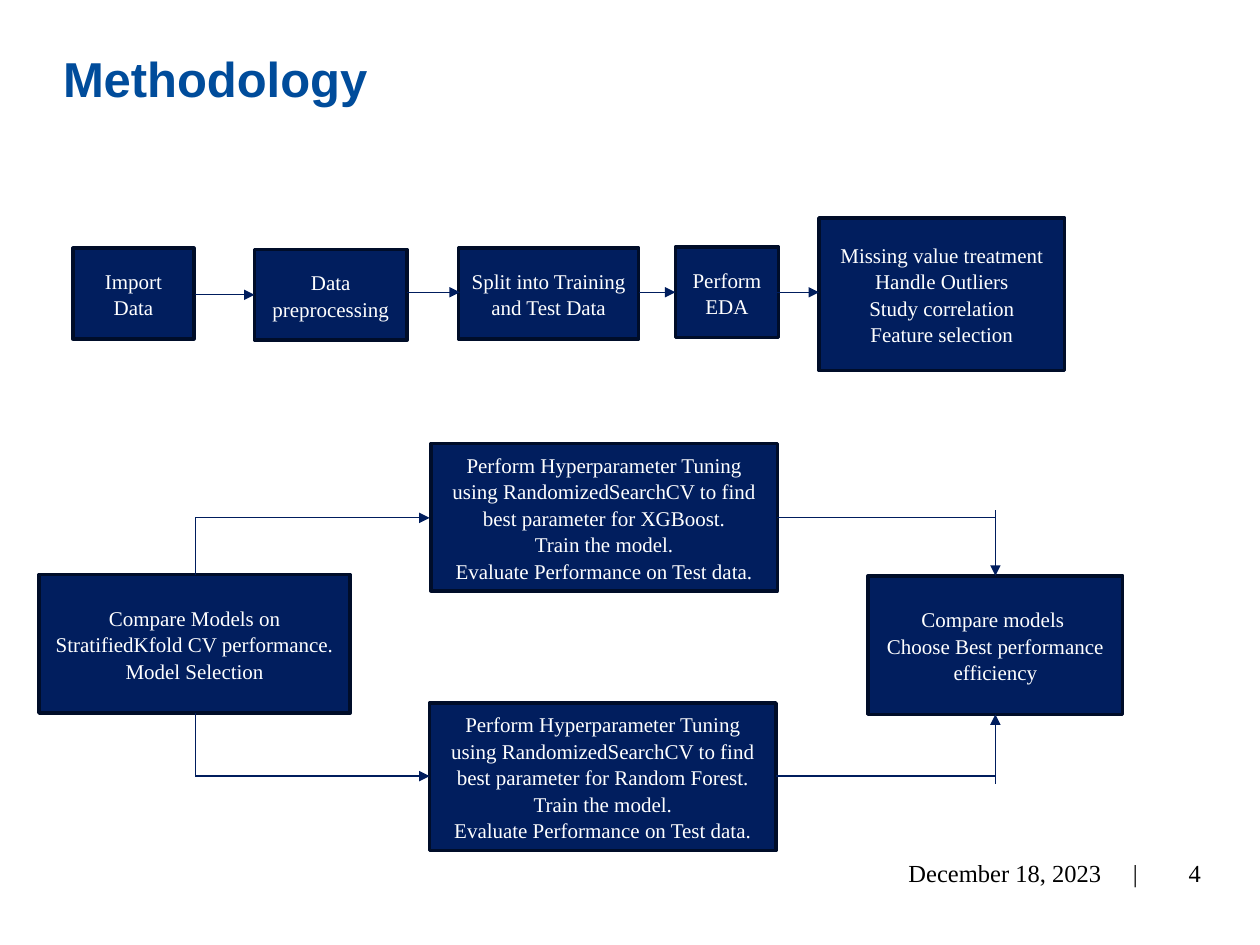
from typing import NamedTuple

from lxml.etree import SubElement
from pptx import Presentation
from pptx.dml.color import RGBColor
from pptx.enum.shapes import MSO_CONNECTOR as Connector, MSO_SHAPE as Shape
from pptx.enum.text import MSO_ANCHOR as Anchor, PP_ALIGN as Align
from pptx.oxml.ns import qn
from pptx.util import Inches, Pt

NAVY, EDGE, LINE = "011E5E", "000D29", "001D5D"
SERIF = "Times New Roman"


class Step(NamedTuple):
    left: float
    top: float
    width: float
    height: float
    text: str


class Link(NamedTuple):
    x1: float
    y1: float
    x2: float
    y2: float
    arrow: bool = True


def tuning(model: str) -> str:
    return ("Perform Hyperparameter Tuning using RandomizedSearchCV to find "
            f"best parameter for {model}.\nTrain the model.\n"
            "Evaluate Performance on Test data.")


ROW_Y, UPPER_Y, LOWER_Y = 2.32, 4.11, 6.16
FORK_X, JOIN_X = 1.55, 7.9

STEPS = [
    Step(0.58, 1.97, 0.96, 0.72, "Import Data"),
    Step(2.02, 1.98, 1.21, 0.72, "Data preprocessing"),
    Step(3.64, 1.97, 1.43, 0.72, "Split into Training and Test Data"),
    Step(5.36, 1.96, 0.82, 0.72, "Perform EDA"),
    Step(6.5, 1.73, 1.95, 1.21, "Missing value treatment\nHandle Outliers\n"
         "Study correlation\nFeature selection"),
    Step(0.31, 4.56, 2.47, 1.1, "Compare Models on StratifiedKfold CV performance.\n"
         "Model Selection"),
    Step(3.41, 5.58, 2.75, 1.17, tuning("Random Forest")),
    Step(3.42, 3.52, 2.75, 1.17, tuning("XGBoost")),
    Step(6.89, 4.57, 2.02, 1.1, "Compare models \nChoose Best performance efficiency"),
]

LINKS = [
    Link(1.55, 2.34, 2.02, 2.34),
    Link(3.23, ROW_Y, 3.65, ROW_Y),
    Link(5.07, ROW_Y, 5.36, ROW_Y),
    Link(6.17, ROW_Y, 6.5, ROW_Y),
    Link(FORK_X, UPPER_Y, 3.41, UPPER_Y),
    Link(FORK_X, UPPER_Y, FORK_X, 4.56, arrow=False),
    Link(FORK_X, 5.66, FORK_X, LOWER_Y, arrow=False),
    Link(FORK_X, LOWER_Y, 3.41, LOWER_Y),
    Link(6.17, UPPER_Y, JOIN_X, UPPER_Y, arrow=False),
    Link(6.16, LOWER_Y, JOIN_X, LOWER_Y, arrow=False),
    Link(JOIN_X, 4.05, JOIN_X, 4.57),
    Link(JOIN_X, 6.22, JOIN_X, 5.67),
]


def color(value: str) -> RGBColor:
    return RGBColor.from_string(value)


def write(box, text: str, *, size: float, ink: str, font: str = SERIF,
          bold: bool = False, align=Align.LEFT, anchor=Anchor.MIDDLE,
          spacing=None, tab: float = 0) -> None:
    """Fill a box with one paragraph per line of text."""
    frame = box.text_frame
    frame.word_wrap = True
    frame.vertical_anchor = anchor
    for index, line in enumerate(text.split("\n")):
        para = frame.paragraphs[0] if index == 0 else frame.add_paragraph()
        para.text = line
        para.alignment = align
        if spacing:
            para.line_spacing = spacing
        if tab:
            stops = SubElement(para._p.get_or_add_pPr(), qn("a:tabLst"))
            SubElement(stops, qn("a:tab"), pos=str(Inches(tab)), algn="l")
        for span in para.runs:
            span.font.name = font
            span.font.size = Pt(size)
            span.font.bold = bold
            span.font.color.rgb = color(ink)


def draw_step(page, step: Step) -> None:
    box = page.shapes.add_shape(Shape.RECTANGLE, *map(Inches, step[:4]))
    box.shadow.inherit = False
    box.fill.solid()
    box.fill.fore_color.rgb = color(NAVY)
    box.line.color.rgb = color(EDGE)
    box.line.width = Pt(2)
    box.text_frame.margin_left = box.text_frame.margin_right = Inches(0.09)
    write(box, step.text, size=12, ink="FFFFFF", align=Align.CENTER, spacing=1.05)


def draw_link(page, link: Link) -> None:
    line = page.shapes.add_connector(Connector.STRAIGHT, *map(Inches, link[:4]))
    line.line.color.rgb = color(LINE)
    line.line.width = Pt(0.75)
    if link.arrow:
        SubElement(line.line._get_or_add_ln(), qn("a:tailEnd"), type="triangle")
    SubElement(line._element.spPr, qn("a:effectLst"))


def draw_footer(page) -> None:
    date = page.shapes.add_textbox(*map(Inches, (6.42, 6.73, 2.71, 0.4)))
    date.text_frame.margin_left = Inches(0.79)
    write(date, "December 18, 2023\t|", size=14, ink="000000", tab=1.78)
    number = page.shapes.add_textbox(*map(Inches, (8.91, 6.73, 0.72, 0.4)))
    write(number, "4", size=14, ink="000000", align=Align.RIGHT)


def main() -> None:
    deck = Presentation()
    deck.slide_width, deck.slide_height = Inches(10), Inches(7.5)
    page = deck.slides.add_slide(deck.slide_layouts[5])
    title = page.shapes.title
    title.left, title.top, title.width, title.height = map(
        Inches, (0.4, 0.43, 9.24, 1.17))
    write(title, "Methodology", size=28, ink="004C9B", font="Arial", bold=True,
          anchor=Anchor.TOP, spacing=Pt(26.6))
    draw_footer(page)
    for step in STEPS:
        draw_step(page, step)
    for link in LINKS:
        draw_link(page, link)
    deck.save("out.pptx")


if __name__ == "__main__":
    main()
